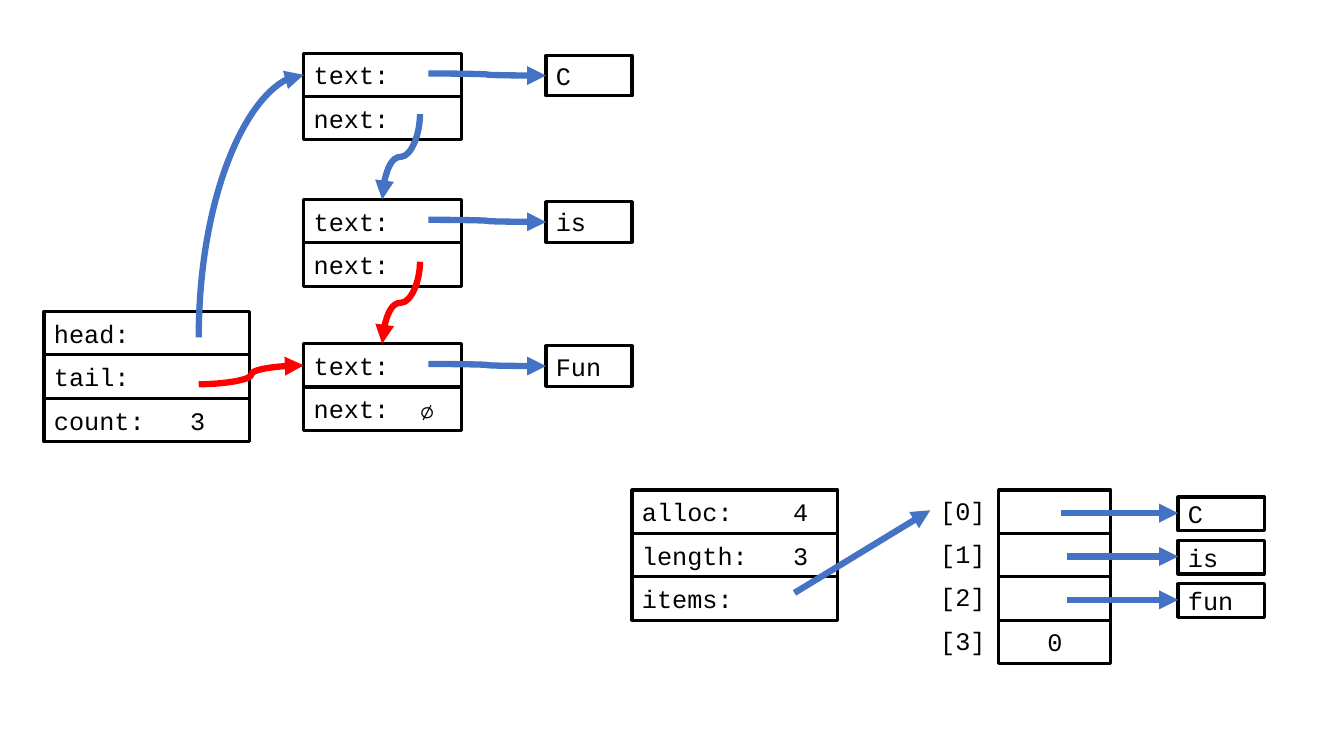
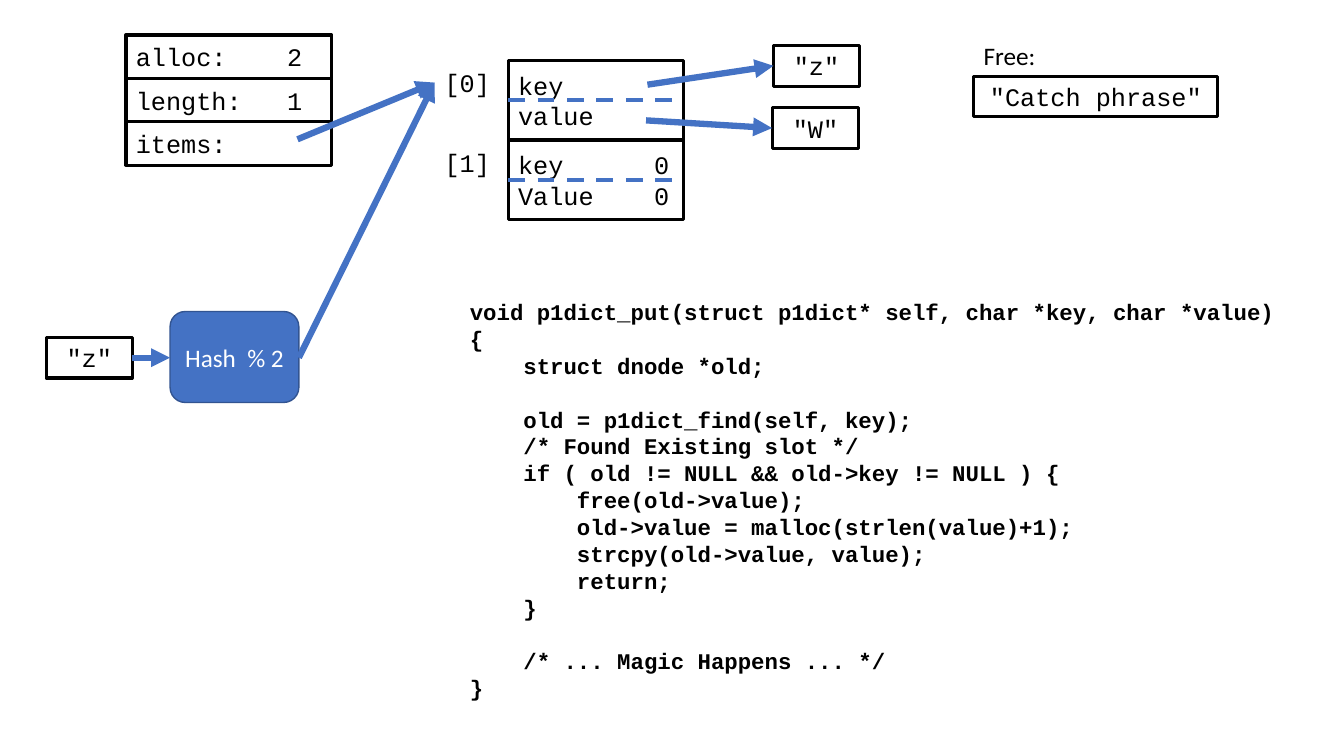
import pptx
import pptx.util
import pptx.dml.color
import pptx.enum.dml
import pptx.enum.shapes
import pptx.enum.text
import pptx.oxml.ns
import lxml.etree

Pt = pptx.util.Pt
Shape = pptx.enum.shapes.MSO_SHAPE
Join = pptx.enum.shapes.MSO_CONNECTOR
Align = pptx.enum.text.PP_ALIGN
qn = pptx.oxml.ns.qn
color = pptx.dml.color.RGBColor.from_string

BLACK, WHITE, BLUE, RED, NAVY = "000000", "FFFFFF", "4472C4", "FF0000", "325491"
MONO, SANS = "Courier New", "Calibri"
ROW = 31  # height of one field
CHAR = 10.8  # width of one fixed-pitch letter at 18 pt


def put(slide, text, x, y, w, h, kind=Shape.RECTANGLE, edge=BLACK, weight=2.25,
        fill=None, ink=BLACK, font=MONO, size=18, bold=False, mid=False, col=10):
    """Add a box, or plain text if kind is None; a tab jumps to letter col."""
    spot = [Pt(v) for v in (x, y, w, h)]
    if kind is None:
        box = slide.shapes.add_textbox(*spot)
    else:
        box = slide.shapes.add_shape(kind, *spot)
        box.shadow.inherit = False
        box.line.color.rgb = color(edge)
        box.line.width = Pt(weight)
        if fill:
            box.fill.solid()
            box.fill.fore_color.rgb = color(fill)
        else:
            box.fill.background()
    frame = box.text_frame
    frame.word_wrap = True
    frame.text = text
    for para in frame.paragraphs:
        para.alignment = Align.CENTER if mid else Align.LEFT
        if "\t" in para.text:
            tabs = lxml.etree.SubElement(para._p.get_or_add_pPr(), qn("a:tabLst"))
            lxml.etree.SubElement(tabs, qn("a:tab"), pos=str(Pt(col * CHAR)), algn="l")
        for run in para.runs:
            run.font.name = font
            run.font.size = Pt(size)
            run.font.bold = bold
            run.font.color.rgb = color(ink)
    return box


def link(slide, x1, y1, x2, y2, kind=Join.STRAIGHT, edge=BLUE, weight=4.5,
         turn=False, head=True):
    """Add a line; turn makes a curve leave its start vertically."""
    if turn:
        mx, my = (x1 + x2) / 2, (y1 + y2) / 2
        u, v = (y2 - y1) / 2, (x1 - x2) / 2
        x1, y1, x2, y2 = mx - u, my - v, mx + u, my + v
    line = slide.shapes.add_connector(kind, Pt(x1), Pt(y1), Pt(x2), Pt(y2))
    line.line.color.rgb = color(edge)
    line.line.width = Pt(weight)
    prop = line.element.spPr
    if turn:
        prop.find(qn("a:xfrm")).set("rot", "5400000")
    if head:
        lxml.etree.SubElement(line.line._get_or_add_ln(), qn("a:tailEnd"), type="triangle")
    lxml.etree.SubElement(prop, qn("a:effectLst"))
    return line


deck = pptx.Presentation()
deck.slide_width, deck.slide_height = Pt(960), Pt(540)
blank = deck.slide_layouts[6]

# Slide 1: linked list and array list
page = deck.slides.add_slide(blank)

for i, word in enumerate(["C", "is", "fun", None]):
    y = 350 + i * ROW
    put(page, "0" if word is None else "", 713.5, y, 80, ROW, mid=True)
    put(page, f"[{i}]", 664.5, y, 80, 29, kind=None)
    if word:
        put(page, word, 841.5, y + 5, 61.5, 24)
        link(page, 762 if i else 758, y + 16.5, 841.5, y + 16.5)

for i, field in enumerate(["alloc:\t4", "length:\t3", "items:"]):
    put(page, field, 451.5, 350 + i * ROW, 147, ROW)
link(page, 567.5, 423.5, 664.5, 364.5)

for i, field in enumerate(["head:", "tail:", "count:\t3"]):
    put(page, field, 31.5, 222.5 + i * ROW, 147, ROW, col=9)

nodes = [("C", 38, "next:"), ("is", 142.5, "next:"), ("Fun", 245.5, "next:\t∅")]
for word, y, field in nodes:
    put(page, "text:", 217, y, 113, ROW)
    put(page, field, 217, y + ROW, 113, ROW, col=7)
    put(page, word, 390, y + 1.5, 61.5, 29)
    link(page, 306, y + 14.5, 390, y + 16, Join.CURVE)

link(page, 300, 81.5, 273, 142.5, Join.CURVE, turn=True)
link(page, 300, 187, 273, 245.5, Join.CURVE, RED, turn=True)
link(page, 142, 274.5, 217, 261, Join.CURVE, RED)
first = link(page, 142, 241, 217, 53.5, Join.CURVE, turn=True)
first.element.spPr.find(qn("a:prstGeom")).set("prst", "curvedConnector2")

# Slide 2: hash map and its put function
page = deck.slides.add_slide(blank)

put(page, "Hash  % 2", 121.5, 222.5, 92, 65, kind=Shape.ROUNDED_RECTANGLE,
    edge=NAVY, weight=1, fill=BLUE, ink=WHITE, font=SANS, mid=True)

for i, pair in enumerate(["key\nvalue", "key\t0\nValue\t0"]):
    y = 43 + i * 57
    put(page, pair, 363, y, 125, 57, col=9)
    put(page, f"[{i}]", 310.5, y + 1.5, 80, 29, kind=None)
    dash = link(page, 363, y + 28.5, 488, y + 28.5, weight=3, head=False)
    dash.line.dash_style = pptx.enum.dml.MSO_LINE.DASH

for i, field in enumerate(["alloc:\t2", "length:\t1", "items:"]):
    put(page, field, 90, 25 + i * ROW, 147, ROW)

values = [('"z"', 33, 241, 61.5), ('"z"', 552.5, 32.5, 61.5),
          ('"W"', 551.5, 77, 62), ('"Catch phrase"', 695.5, 54.5, 174.5)]
for word, x, y, w in values:
    put(page, word, x, y, w, 29, mid=True)
put(page, "Free:", 695.5, 25.5, 62, 29, kind=None, font=SANS)

arrows = [(94.5, 255.5, 121.5, 255.5), (213.5, 255.5, 310.5, 59),
          (212.5, 99.5, 310.5, 59), (462.5, 60.5, 552.5, 47),
          (461.5, 86, 551.5, 91.5)]
for ends in arrows:
    link(page, *ends)

blocks = [
    """void p1dict_put(struct p1dict* self, char *key, char *value)
{
    struct dnode *old;""",
    """    old = p1dict_find(self, key);
    /* Found Existing slot */
    if ( old != NULL && old->key != NULL ) {
        free(old->value);
        old->value = malloc(strlen(value)+1);
        strcpy(old->value, value);
        return;
    }""",
    """    /* ... Magic Happens ... */
}""",
]
code = put(page, "\n".join(blocks), 328.5, 209.5, 613, 317.5, kind=None,
           size=16, bold=True)
start = 0
for block in blocks[:-1]:
    start += len(block.splitlines())
    code.text_frame.paragraphs[start].space_before = Pt(19.2)

deck.save("out.pptx")
